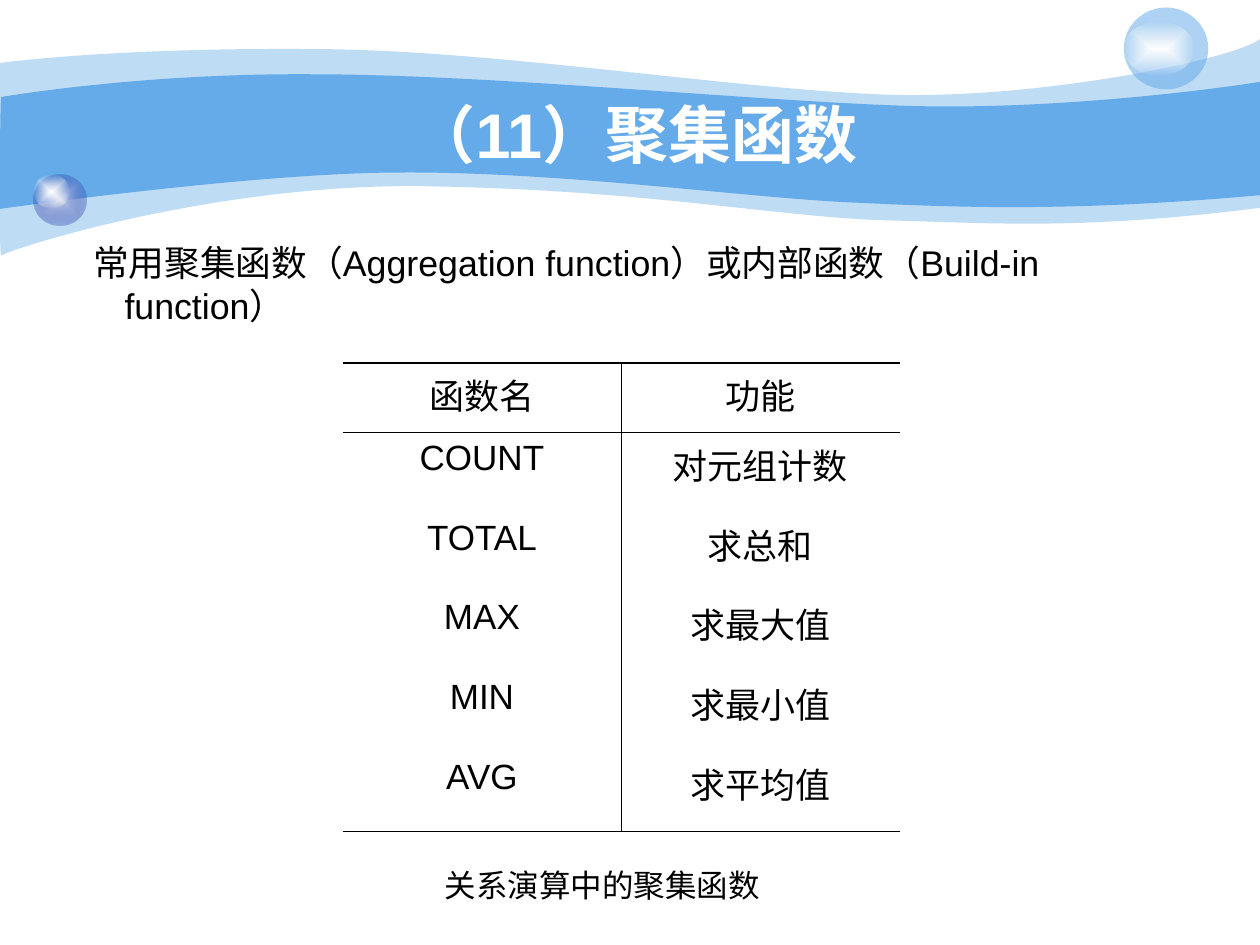
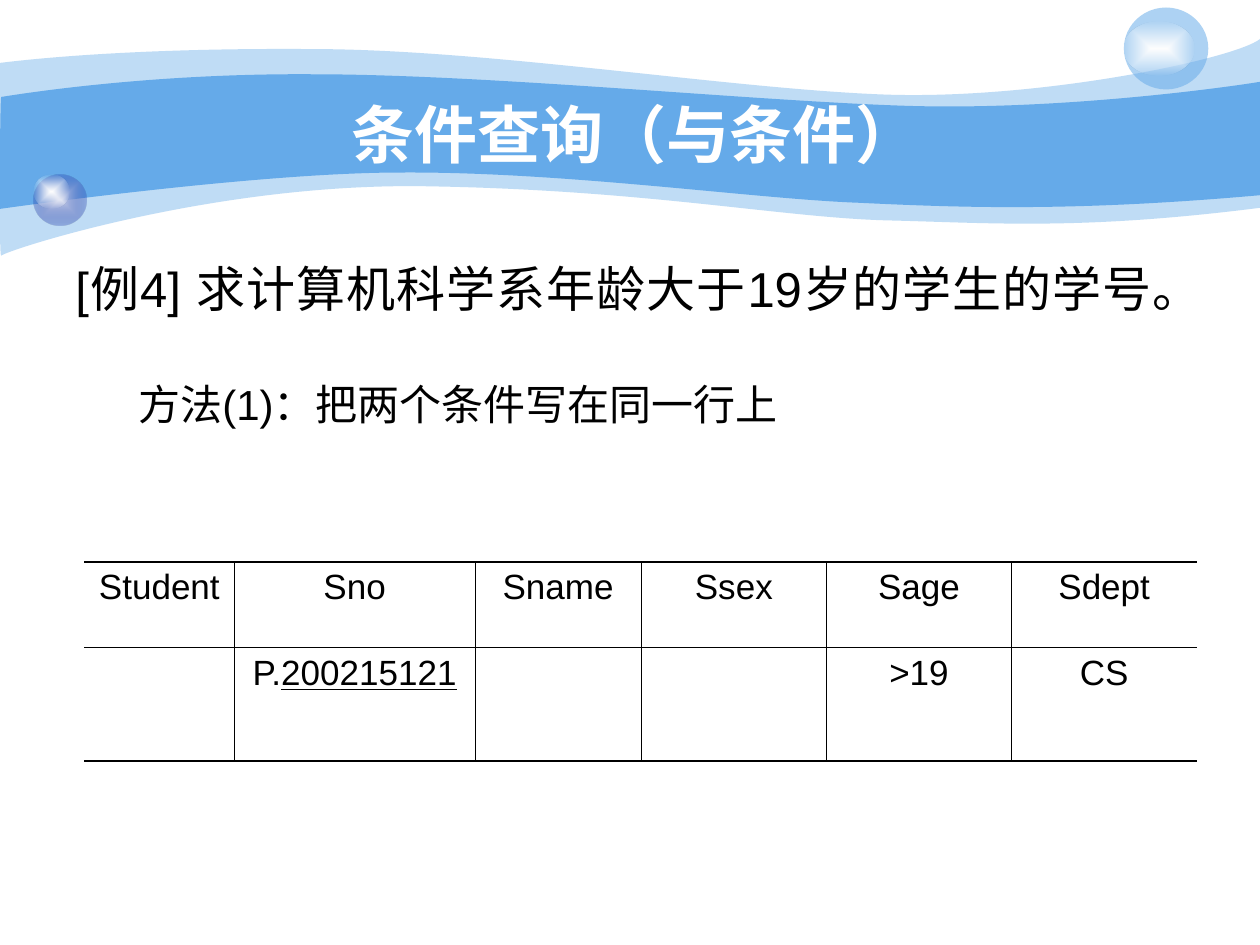
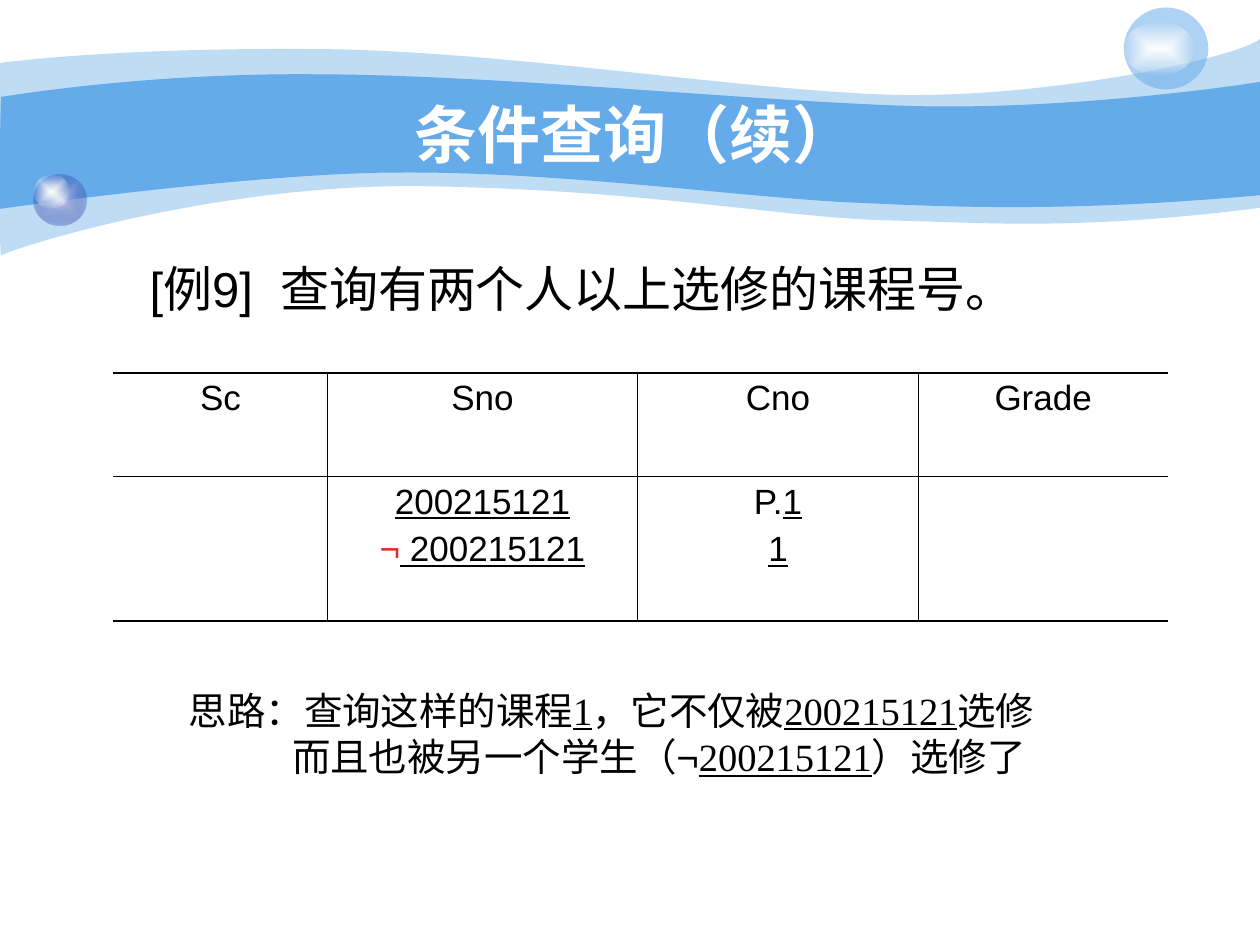
from dataclasses import dataclass

from lxml import etree
from pptx import Presentation
from pptx.dml.color import RGBColor
from pptx.enum import shapes, text
from pptx.oxml import ns
from pptx.util import Inches, Pt

COLORS = {
    "wave": "65AAE9",
    "ball_core": "C7CEE9",
    "ball_edge": "233DA9",
    "white": "FFFFFF",
    "ink": "000000",
    "negation": "E02920",
}
SANS, SERIF = "Arial", "Times New Roman"
THICK, THIN = 1.08, 0.45

# Each wave is a start point and its pieces: six numbers for a curve, two for a line.
PALE_WAVE = [
    (0, 0.5),
    (0.24, 0.47, 1.07, 0.38, 2.47, 0.39),
    (3.86, 0.39, 5.75, 0.7, 6.99, 0.75),
    (8.22, 0.8, 9.8, 0.47, 10, 0.31),
    (10, 1.65),
    (8.58, 1.83, 7.87, 1.77, 7.05, 1.75),
    (6.22, 1.73, 5.15, 1.51, 3.43, 1.48),
    (1.72, 1.44, 0.04, 1.99, 0.01, 2.03),
    (-0.01, 2.08, 0, 0.75, 0, 0.5),
]
DEEP_WAVE = [
    (0.01, 0.77),
    (0.02, 0.77, 1.1, 0.58, 2.48, 0.59),
    (3.86, 0.59, 5.95, 0.8, 7.18, 0.84),
    (8.41, 0.88, 9.76, 0.69, 10, 0.65),
    (10, 1.55),
    (8.53, 1.68, 7.65, 1.65, 6.82, 1.61),
    (5.99, 1.58, 4.47, 1.36, 3.17, 1.37),
    (2.03, 1.37, -0.02, 1.66, -0.01, 1.66),
    (0, 1.66, 0, 0.77, 0.01, 0.77),
]


@dataclass
class Style:
    size: float
    font: str = SANS
    color: str = "ink"
    bold: bool = False


@dataclass
class Run:
    text: str
    underline: bool = False
    font: str = ""
    color: str = ""
    size: float = 0
    spacing: float = 0


@dataclass
class Para:
    runs: list
    align: object = text.PP_ALIGN.LEFT
    left: float = 0
    hanging: float = 0
    before: float = 0


def underlined(content):
    return Run(content, underline=True)


def add_element(parent, tag, **attributes):
    return etree.SubElement(parent, ns.qn(tag), attributes)


def add_color(parent, color, opacity=100):
    element = add_element(parent, "a:srgbClr", val=COLORS[color])
    if opacity < 100:
        add_element(element, "a:alpha", val=str(opacity * 1000))


def finish_shape(shape):
    shape.shadow.inherit = False
    shape.line.fill.background()


def fill_solid(shape, color, opacity=100):
    shape.fill.solid()
    shape.fill.fore_color.rgb = RGBColor.from_string(COLORS[color])
    if opacity < 100:
        color_element = shape._element.spPr.find(".//" + ns.qn("a:srgbClr"))
        add_element(color_element, "a:alpha", val=str(opacity * 1000))


def fill_glow(shape, core, edge, edge_opacity):
    """Fill from the centre outwards, fading towards the edge."""
    shape.fill.gradient()
    gradient = shape._element.spPr.find(ns.qn("a:gradFill"))
    for child in list(gradient):
        gradient.remove(child)
    stops = add_element(gradient, "a:gsLst")
    add_color(add_element(stops, "a:gs", pos="0"), core)
    add_color(add_element(stops, "a:gs", pos="100000"), edge, edge_opacity)
    center = dict.fromkeys("ltrb", "50000")
    add_element(add_element(gradient, "a:path", path="rect"), "a:fillToRect", **center)


def bend_segments(freeform, pieces):
    """Join every three line segments that stand for a curve into one cubic curve."""
    segments = iter(freeform._element.spPr.findall(".//" + ns.qn("a:lnTo")))
    for piece in pieces:
        first = next(segments)
        if len(piece) == 6:
            first.tag = ns.qn("a:cubicBezTo")
            for _ in range(2):
                extra = next(segments)
                first.append(extra[0])
                extra.getparent().remove(extra)


def add_wave(slide, left, top, outline, opacity=100):
    placed = [(Inches(left + x), Inches(top + y))
              for piece in outline for x, y in zip(piece[::2], piece[1::2])]
    builder = slide.shapes.build_freeform(*placed[0], scale=1.0)
    builder.add_line_segments(placed[1:], close=True)
    wave = builder.convert_to_shape()
    bend_segments(wave, outline[1:])
    fill_solid(wave, "wave", opacity)
    finish_shape(wave)


def add_ellipse(slide, left, top, width, height):
    ellipse = slide.shapes.add_shape(
        shapes.MSO_SHAPE.OVAL, Inches(left), Inches(top), Inches(width), Inches(height))
    finish_shape(ellipse)
    return ellipse


def add_dark_ball(slide, left, top, width, height):
    fill_glow(add_ellipse(slide, left, top, width, height), "ball_core", "ball_edge", 31)
    shine = add_ellipse(slide, left, top, width * 2 / 3, height * 2 / 3)
    fill_glow(shine, "white", "white", 0)


def add_pale_ball(slide, left, top, width, height):
    fill_solid(add_ellipse(slide, left, top, width, height), "wave", 53)
    shine = add_ellipse(slide, left, top + height / 6, width * 5 / 6, height * 2 / 3)
    fill_glow(shine, "white", "white", 0)


def write_run(paragraph, item, style):
    run = paragraph.add_run()
    run.text = item.text
    run.font.name = item.font or style.font
    run.font.size = Pt(item.size or style.size)
    run.font.bold = style.bold
    run.font.color.rgb = RGBColor.from_string(COLORS[item.color or style.color])
    if item.underline:
        run.font.underline = True
    if item.spacing:
        run._r.get_or_add_rPr().set("spc", str(round(item.spacing * 100)))


def write_text(frame, paragraphs, style):
    for number, item in enumerate(paragraphs):
        paragraph = frame.add_paragraph() if number else frame.paragraphs[0]
        paragraph.alignment = item.align
        properties = paragraph._p.get_or_add_pPr()
        properties.set("marL", str(Inches(item.left)))
        properties.set("indent", str(Inches(-item.hanging)))
        if item.before:
            paragraph.space_before = Pt(item.before)
        for run in item.runs:
            write_run(paragraph, run, style)


def add_text(slide, box, paragraphs, style, middle=False, wrap=True):
    frame = slide.shapes.add_textbox(*map(Inches, box)).text_frame
    frame.word_wrap = wrap
    frame.vertical_anchor = text.MSO_ANCHOR.MIDDLE if middle else text.MSO_ANCHOR.TOP
    write_text(frame, paragraphs, style)


def set_borders(cell, widths):
    """Draw the sides L, R, T, B that have a width; hide the others."""
    properties = cell._tc.get_or_add_tcPr()
    for side in "LRTB":
        width = widths.get(side, 0)
        line = add_element(properties, "a:ln" + side, w=str(Pt(width)))
        if width:
            add_color(add_element(line, "a:solidFill"), "ink")
        else:
            add_element(line, "a:noFill")


def add_open_table(slide, left, top, column_widths, row_heights, rows):
    """Table ruled above, below, under its header and between columns."""
    size = (sum(column_widths), sum(row_heights))
    table = slide.shapes.add_table(
        len(rows), len(column_widths), *map(Inches, (left, top, *size))).table
    table.first_row = table.horz_banding = False
    for column, width in zip(table.columns, column_widths):
        column.width = Inches(width)
    for row, height in zip(table.rows, row_heights):
        row.height = Inches(height)
    last_row, last_column = len(rows) - 1, len(column_widths) - 1
    for r, row in enumerate(rows):
        for c, content in enumerate(row):
            cell = table.cell(r, c)
            set_borders(cell, {
                "L": THIN if c > 0 else 0,
                "R": THIN if c < last_column else 0,
                "T": {0: THICK, 1: THIN}.get(r, 0),
                "B": THIN if r == 0 else THICK if r == last_row else 0,
            })
            cell.fill.background()
            if not content:
                continue
            lines = [[Run(content)]] if isinstance(content, str) else content
            paragraphs = [Para(line, text.PP_ALIGN.CENTER, before=5 if n else 0)
                          for n, line in enumerate(lines)]
            write_text(cell.text_frame, paragraphs, Style(20))


def add_header(slide, left, top, title):
    add_wave(slide, left, top, PALE_WAVE, 41)
    add_wave(slide, left, top, DEEP_WAVE)
    add_dark_ball(slide, left + 0.27, top + 1.39, 0.42, 0.4)
    add_pale_ball(slide, left + 8.92, top + 0.06, 0.67, 0.65)
    add_text(slide, (left + 1, top + 0.75, 8.08, 0.62),
             [Para([Run(title)], text.PP_ALIGN.CENTER)],
             Style(36, color="white", bold=True), middle=True)


def new_slide(presentation, title):
    slide = presentation.slides.add_slide(presentation.slide_layouts[6])
    add_header(slide, 0, 0, title)
    return slide


def add_aggregate_slide(presentation):
    slide = new_slide(presentation, "（11）聚集函数")
    intro = "常用聚集函数（Aggregation function）或内部函数（Build-in function）"
    add_text(slide, (0.51, 1.86, 9.15, 0.81),
             [Para([Run(intro)], left=0.38, hanging=0.25)], Style(20.4))
    add_text(slide, (3.43, 6.82, 2.75, 0.4), [Para([Run("关系演算中的聚集函数")])],
             Style(18, SERIF), middle=True, wrap=False)
    functions = [
        ("函数名", "功能"),
        ("COUNT", "对元组计数"),
        ("TOTAL", "求总和"),
        ("MAX", "求最大值"),
        ("MIN", "求最小值"),
        ("AVG", "求平均值"),
    ]
    add_open_table(slide, 2.72, 2.88, [2.21] * 2, [0.55] + [3.17 / 5] * 5, functions)


def add_and_condition_slide(presentation):
    slide = new_slide(presentation, "条件查询（与条件）")
    justify = text.PP_ALIGN.JUSTIFY
    add_text(slide, (0.5, 2, 8.75, 2.14), [
        Para([Run("[例4] 求计算机科学系年龄大于19岁的学生的学号。")], justify, 0.38, 0.38),
        Para([Run("方法(1)：把两个条件写在同一行上", size=24)], justify, 0.81, 0.31, 35),
    ], Style(28))
    student_query = [
        ("Student", "Sno", "Sname", "Ssex", "Sage", "Sdept"),
        ("", [[Run("P."), underlined("200215121")]], "", "", ">19", "CS"),
    ]
    add_open_table(slide, 0.67, 4.46, [1.19, 1.91, 1.32] + [1.47] * 3, [0.68, 0.9],
                   student_query)


def add_continued_slide(presentation):
    slide = new_slide(presentation, "条件查询（续）")
    question = [Run("[例9]"), Run(" ", spacing=7.8), Run("查询有两个人以上选修的课程号。")]
    add_text(slide, (0.5, 2, 9.07, 1.67),
             [Para(question, text.PP_ALIGN.JUSTIFY, 0.9, 0.31)], Style(28))
    number = "200215121"
    add_text(slide, (0.9, 5.4, 8.82, 0.84), [
        Para([Run("思路：查询这样的课程"), underlined("1"), Run("，它不仅被"),
              underlined(number), Run("选修")], left=0.5),
        Para([Run("而且也被另一个学生（"), Run("¬", font=SANS), underlined(number),
              Run("）选修了")], left=1.32),
    ], Style(22, SERIF))
    students = [[underlined(number)], [Run("¬", color="negation"), underlined(" " + number)]]
    courses = [[Run("P."), underlined("1")], [underlined("1")]]
    add_open_table(slide, 0.9, 2.96, [1.7, 2.46, 2.23, 1.98], [0.82, 1.15],
                   [("Sc", "Sno", "Cno", "Grade"), ("", students, courses, "")])


def main():
    presentation = Presentation()
    presentation.slide_width, presentation.slide_height = Inches(10), Inches(7.5)
    add_aggregate_slide(presentation)
    add_and_condition_slide(presentation)
    add_continued_slide(presentation)
    presentation.save("out.pptx")


if __name__ == "__main__":
    main()
